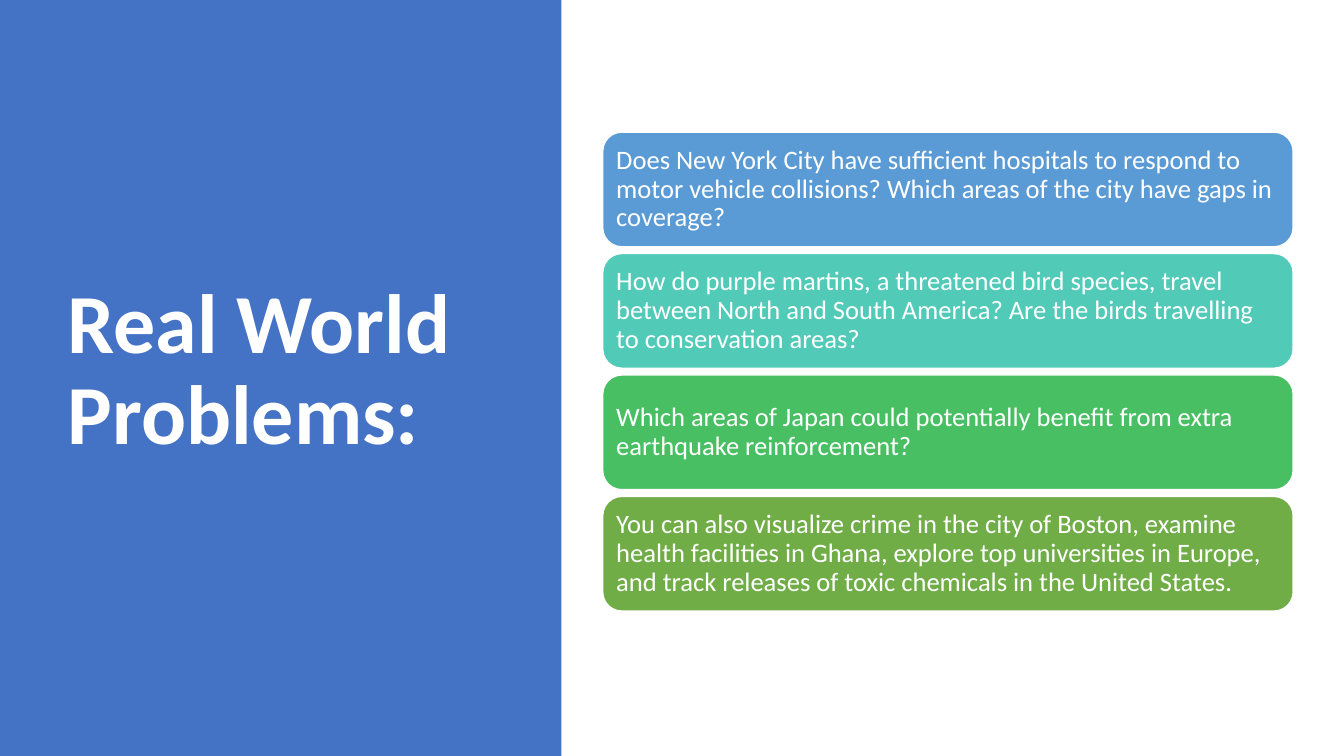
from pptx import Presentation
from pptx.dml.color import RGBColor
from pptx.enum.shapes import MSO_SHAPE as SHAPE
from pptx.enum.text import MSO_ANCHOR as ANCHOR, MSO_AUTO_SIZE as AUTO_SIZE, PP_ALIGN as ALIGN
from pptx.util import Cm, Pt

WIDTH, HEIGHT = 33.87, 19.05
FONT = "Calibri"
COLOURS = {
    "white": "FFFFFF",
    "panel": "4472C4",
    "blue": "5B9BD5",
    "teal": "52CAB8",
    "green": "49BF64",
    "olive": "70AD47",
}
PROBLEMS = [
    ("blue", "Does New York City have sufficient hospitals to respond to motor vehicle "
             "collisions? Which areas of the city have gaps in coverage?"),
    ("teal", "How do purple martins, a threatened bird species, travel between North and "
             "South America? Are the birds travelling to conservation areas?"),
    ("green", "Which areas of Japan could potentially benefit from extra earthquake "
              "reinforcement?"),
    ("olive", "You can also visualize crime in the city of Boston, examine health "
              "facilities in Ghana, explore top universities in Europe, and track "
              "releases of toxic chemicals in the United States."),
]


def rgb(name):
    return RGBColor.from_string(COLOURS[name])


def add_block(slide, kind, box, fill):
    """Add a flat, filled shape without an outline."""
    sp = slide.shapes.add_shape(kind, *map(Cm, box))
    sp.shadow.inherit = False
    sp.fill.solid()
    sp.fill.fore_color.rgb = rgb(fill)
    sp.line.fill.background()
    return sp


def write_text(sp, text, size, bold=False):
    """Fill a shape with one white, left-aligned, vertically centred paragraph."""
    tf = sp.text_frame
    tf.text = text
    tf.word_wrap = True
    tf.auto_size = AUTO_SIZE.NONE
    tf.vertical_anchor = ANCHOR.MIDDLE
    p = tf.paragraphs[0]
    p.alignment = ALIGN.LEFT
    p.line_spacing = 0.9
    p.font.name, p.font.size, p.font.bold = FONT, Pt(size), bold
    p.font.color.rgb = rgb("white")
    return tf


def add_title_panel(slide, box):
    left, top, width, height = box
    add_block(slide, SHAPE.RECTANGLE, box, "panel")
    title = slide.shapes.title
    title.left, title.top = Cm(left + 1.45), Cm(top + 1.73)
    title.width, title.height = Cm(width - 3.58), Cm(height - 3.76)
    write_text(title, "Real World Problems:", 60, bold=True)
    # The title must lie in front of the panel.
    title.element.getparent().append(title.element)


def add_problem_cards(slide, box, gap=0.17):
    left, top, width, height = box
    card_height = (height - gap * (len(PROBLEMS) - 1)) / len(PROBLEMS)
    for i, (colour, text) in enumerate(PROBLEMS):
        card_top = top + i * (card_height + gap)
        card = add_block(slide, SHAPE.ROUNDED_RECTANGLE,
                         (left, card_top, width, card_height), colour)
        card.line.color.rgb = rgb("white")
        card.line.width = Pt(1)
        tf = write_text(card, text, 19)
        tf.margin_left = tf.margin_right = tf.margin_top = tf.margin_bottom = Cm(0.2)


def main():
    prs = Presentation()
    prs.slide_width, prs.slide_height = Cm(WIDTH), Cm(HEIGHT)
    slide = prs.slides.add_slide(prs.slide_layouts.get_by_name("Title Only"))
    add_title_panel(slide, (0, 0, 14.15, HEIGHT))
    add_problem_cards(slide, (15.19, 3.33, 17.4, 12.07))
    prs.save("out.pptx")


if __name__ == "__main__":
    main()
